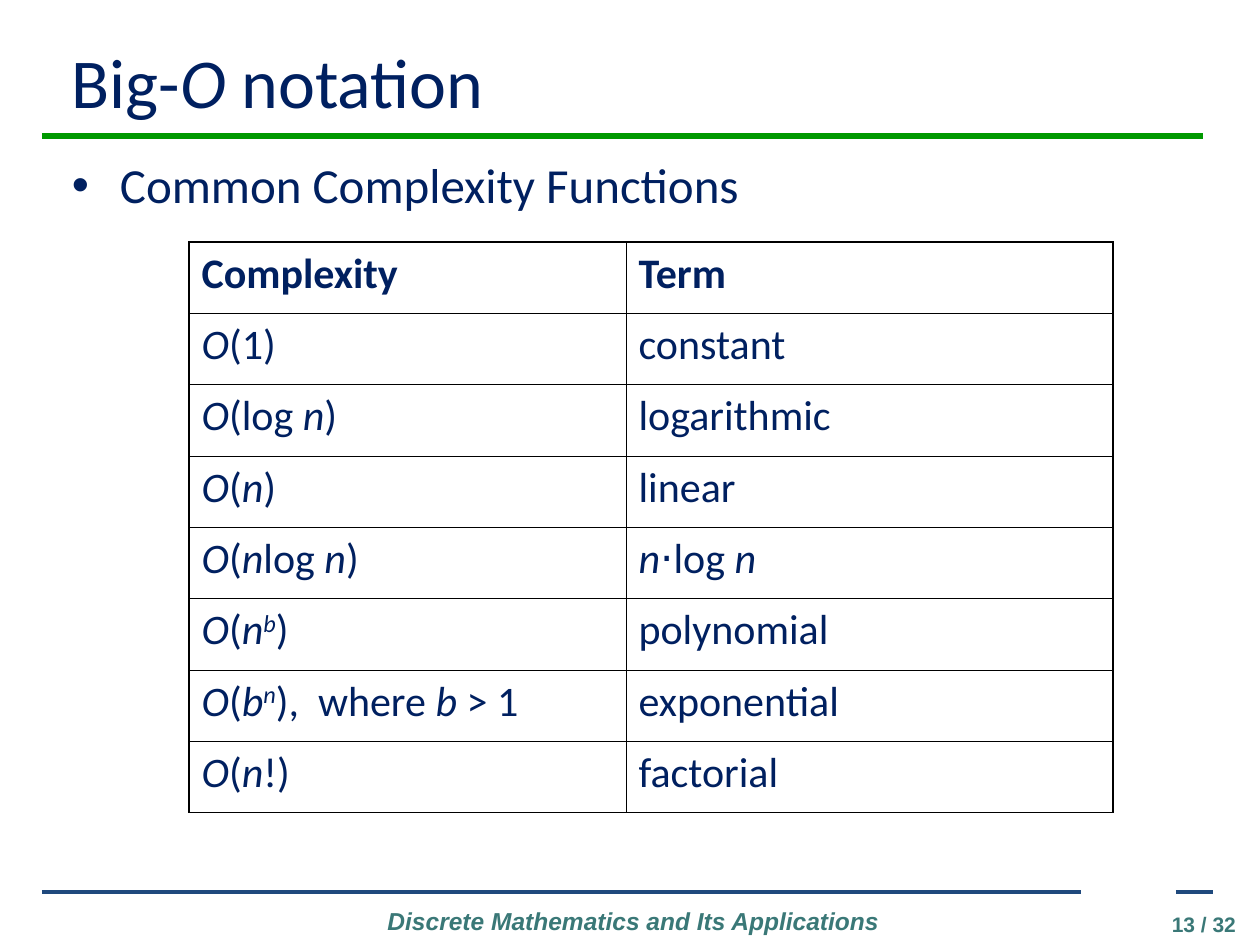
from lxml.etree import SubElement
from pptx import Presentation
from pptx.dml.color import RGBColor
from pptx.enum.shapes import MSO_CONNECTOR
from pptx.enum.text import MSO_ANCHOR, PP_ALIGN
from pptx.oxml.ns import qn
from pptx.util import Pt

EMU_PER_PX = 914400 / 126
NAVY = "002060"
GREEN = "009900"
BLUE = "1F497D"
TEAL = "3A7877"
BLACK = "000000"

TITLE = {"name": "Calibri", "size": Pt(40)}
BULLET = {"name": "Calibri", "size": Pt(28)}
BODY = {"name": "Calibri", "size": Pt(24)}
HEADER = {**BODY, "bold": True}
FOOTER = {"name": "Arial", "size": Pt(14), "bold": True, "italic": True}
PAGE = {"name": "Arial", "size": Pt(12), "bold": True}

ROWS = [
    ("Complexity", "Term"),
    ("_O|(1)", "constant"),
    ("_O|(log |_n|)", "logarithmic"),
    ("_O|(|_n|)", "linear"),
    ("_O|(|_n|log |_n|)", "_n|⋅|log |_n"),
    ("_O|(|_n|^b|)", "polynomial"),
    ("_O|(|_b|^n|),  where |_b| > 1", "exponential"),
    ("_O|(|_n|!)", "factorial"),
]
COLUMN_WIDTHS = (437, 487)
TABLE_HEIGHT = 571


def px(length):
    return round(length * EMU_PER_PX)


def color(value):
    return RGBColor.from_string(value)


def write(paragraph, markup, style, ink):
    for piece in markup.split("|"):
        run = paragraph.add_run()
        run.text = piece.lstrip("_^")
        for key, value in style.items():
            setattr(run.font, key, value)
        run.font.color.rgb = color(ink)
        if piece[0] in "_^":
            run.font.italic = True
        if piece[0] == "^":
            run.font._element.set("baseline", "30000")
        if piece == "⋅":
            run.font.name = "Arial"


def add_text(slide, box, markup, style, ink, margins=(13, 6), **layout):
    frame = slide.shapes.add_textbox(*map(px, box)).text_frame
    frame.word_wrap = True
    frame.margin_left = frame.margin_right = px(margins[0])
    frame.margin_top = frame.margin_bottom = px(margins[1])
    frame.vertical_anchor = layout.get("anchor", MSO_ANCHOR.TOP)
    paragraph = frame.paragraphs[0]
    paragraph.alignment = layout.get("align", PP_ALIGN.LEFT)
    if "indent" in layout:
        add_bullet(paragraph, layout["indent"], ink)
    write(paragraph, markup, style, ink)


def add_bullet(paragraph, indent, ink):
    properties = paragraph._p.get_or_add_pPr()
    properties.set("marL", str(px(indent)))
    properties.set("indent", str(-px(indent)))
    bullet_color = SubElement(properties, qn("a:buClr"))
    SubElement(bullet_color, qn("a:srgbClr"), val=ink)
    SubElement(properties, qn("a:buFont"), typeface="Arial")
    SubElement(properties, qn("a:buChar"), char="•")


def add_rule(slide, left, right, y, ink, width):
    rule = slide.shapes.add_connector(
        MSO_CONNECTOR.STRAIGHT, px(left), px(y), px(right), px(y))
    rule.line.color.rgb = color(ink)
    rule.line.width = Pt(width)
    SubElement(rule._element.spPr, qn("a:effectLst"))


def add_borders(cell, outer_sides):
    properties = cell._tc.get_or_add_tcPr()
    for side, is_outer in outer_sides.items():
        width = Pt(1.08 if is_outer else 0.45)
        border = SubElement(properties, qn(f"a:ln{side}"), w=str(width))
        fill = SubElement(border, qn("a:solidFill"))
        SubElement(fill, qn("a:srgbClr"), val=BLACK)


def add_complexity_table(slide):
    last_row, last_column = len(ROWS) - 1, len(COLUMN_WIDTHS) - 1
    table = slide.shapes.add_table(
        len(ROWS), len(COLUMN_WIDTHS), px(189), px(242),
        px(sum(COLUMN_WIDTHS)), px(TABLE_HEIGHT)).table
    table.first_row = table.horz_banding = False
    for column, width in zip(table.columns, COLUMN_WIDTHS):
        column.width = px(width)
    for r, terms in enumerate(ROWS):
        table.rows[r].height = px(TABLE_HEIGHT / len(ROWS))
        for c, term in enumerate(terms):
            cell = table.cell(r, c)
            add_borders(cell, {"L": c == 0, "R": c == last_column,
                               "T": r == 0, "B": r == last_row})
            cell.fill.background()
            write(cell.text_frame.paragraphs[0], term,
                  BODY if r else HEADER, NAVY)


def main():
    deck = Presentation()
    deck.slide_width, deck.slide_height = px(1260), px(945)
    slide = deck.slides.add_slide(deck.slide_layouts[6])
    add_rule(slide, 42, 1203, 136, GREEN, 3)
    add_rule(slide, 42, 1081, 892, BLUE, 2.25)
    add_rule(slide, 1176, 1213, 892, BLUE, 2.25)
    add_text(slide, (357, 900, 553, 43),
             "Discrete Mathematics and Its Applications", FOOTER, TEAL,
             align=PP_ALIGN.CENTER)
    add_text(slide, (1120, 905, 129, 30), "13 / 32", PAGE, TEAL,
             align=PP_ALIGN.RIGHT)
    add_text(slide, (63, 32, 1134, 97), "Big-|_O| notation", TITLE, NAVY,
             margins=(9, 6), anchor=MSO_ANCHOR.MIDDLE)
    add_text(slide, (63, 147, 1166, 72), "Common Complexity Functions",
             BULLET, NAVY, margins=(9, 8), indent=48)
    add_complexity_table(slide)
    deck.save("out.pptx")


if __name__ == "__main__":
    main()
